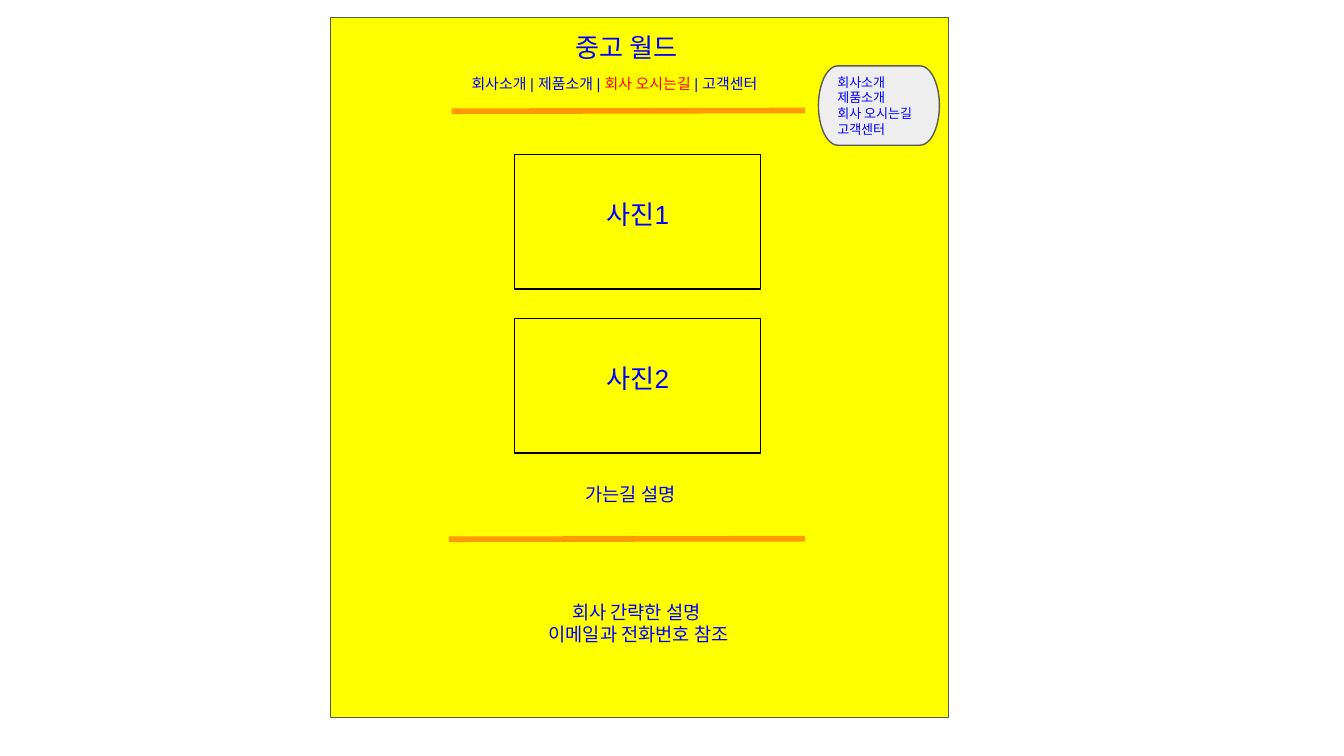
from pptx import Presentation
from pptx.dml.color import RGBColor
from pptx.enum import shapes, text
from pptx.oxml.ns import qn
from pptx.util import Pt

BLUE, RED, ORANGE, GRAY = "0000FF", "FF0000", "FF9900", "595959"
PAGE = (177.1, 9.4, 331.2, 375.1)
MENU = ["회사소개", "제품소개", "회사 오시는길", "고객센터"]
HERE = 2
MENU_BOX = (438.5, 35.3, 64.8, 42.5)
LABELS = [
    ([[("중고 월드", BLUE)]], (301, 9.4, 99.4, 18), 14, False),
    ([[("가는길 설명", BLUE)]], (306.7, 252.7, 131.8, 25.9), 10, False),
    ([[("회사 간략한 설명 ", BLUE)], [("이메일과 전화번호 참조", BLUE)]],
     (265, 314.6, 154.1, 51.1), 10, True),
]
NAV_BOX = (245.5, 35.3, 193, 18)
PHOTOS = ["사진1", "사진2"]
PHOTO_BOX = (275.8, 82.8, 131.8, 72)
STEP = 88
RULES = [(241.9, 59.6, 431.3, 59.2), (240.5, 288.9, 431.3, 288.6)]

prs = Presentation()
prs.slide_width, prs.slide_height = Pt(720), Pt(405)
slide = prs.slides.add_slide(prs.slide_layouts[6])
kinds = shapes.MSO_SHAPE


def color(code):
    return RGBColor.from_string(code)


def write(shape, lines, size=10, center=False, middle=False, top=7.2):
    frame = shape.text_frame
    frame.word_wrap = True
    frame.margin_left = frame.margin_right = frame.margin_bottom = Pt(7.2)
    frame.margin_top = Pt(top)
    anchor = text.MSO_ANCHOR
    frame.vertical_anchor = anchor.MIDDLE if middle else anchor.TOP
    for i, line in enumerate(lines):
        para = frame.add_paragraph() if i else frame.paragraphs[0]
        para.alignment = text.PP_ALIGN.CENTER if center else text.PP_ALIGN.LEFT
        for words, tone in line:
            run = para.add_run()
            run.text = words
            run.font.size = Pt(size)
            run.font.name = "Arial"
            run.font.color.rgb = color(tone)


def label(lines, box, **style):
    write(slide.shapes.add_textbox(*map(Pt, box)), lines, **style)


def panel(kind, box, fill, edge):
    shape = slide.shapes.add_shape(kind, *map(Pt, box))
    shape.shadow.inherit = False
    if fill:
        shape.fill.solid()
        shape.fill.fore_color.rgb = color(fill)
    else:
        shape.fill.background()
    shape.line.color.rgb = color(edge)
    shape.line.width = Pt(0.75)
    return shape


def rule(ends):
    line = slide.shapes.add_connector(shapes.MSO_CONNECTOR.STRAIGHT, *map(Pt, ends))
    line.line.color.rgb = color(ORANGE)
    line.line.width = Pt(3)
    props = line._element.spPr
    props.append(props.makeelement(qn("a:effectLst"), {}))


panel(kinds.RECTANGLE, PAGE, "FFFF00", GRAY)

nav = []
for i, item in enumerate(MENU):
    if i:
        nav.append((" | ", BLUE))
    nav.append((item, RED if i == HERE else BLUE))
label([nav], NAV_BOX, size=8)

menu = panel(kinds.FLOWCHART_TERMINATOR, MENU_BOX, "EEEEEE", GRAY)
write(menu, [[(item, BLUE)] for item in MENU], size=7, middle=True)

for ends in RULES:
    rule(ends)

for lines, box, size, center in LABELS:
    label(lines, box, size=size, center=center)

x, y, w, h = PHOTO_BOX
for i, name in enumerate(PHOTOS):
    photo = panel(kinds.RECTANGLE, (x, y + i * STEP, w, h), None, "000000")
    write(photo, [[(name, BLUE)]], size=14, center=True, top=23.3)

prs.save("out.pptx")
